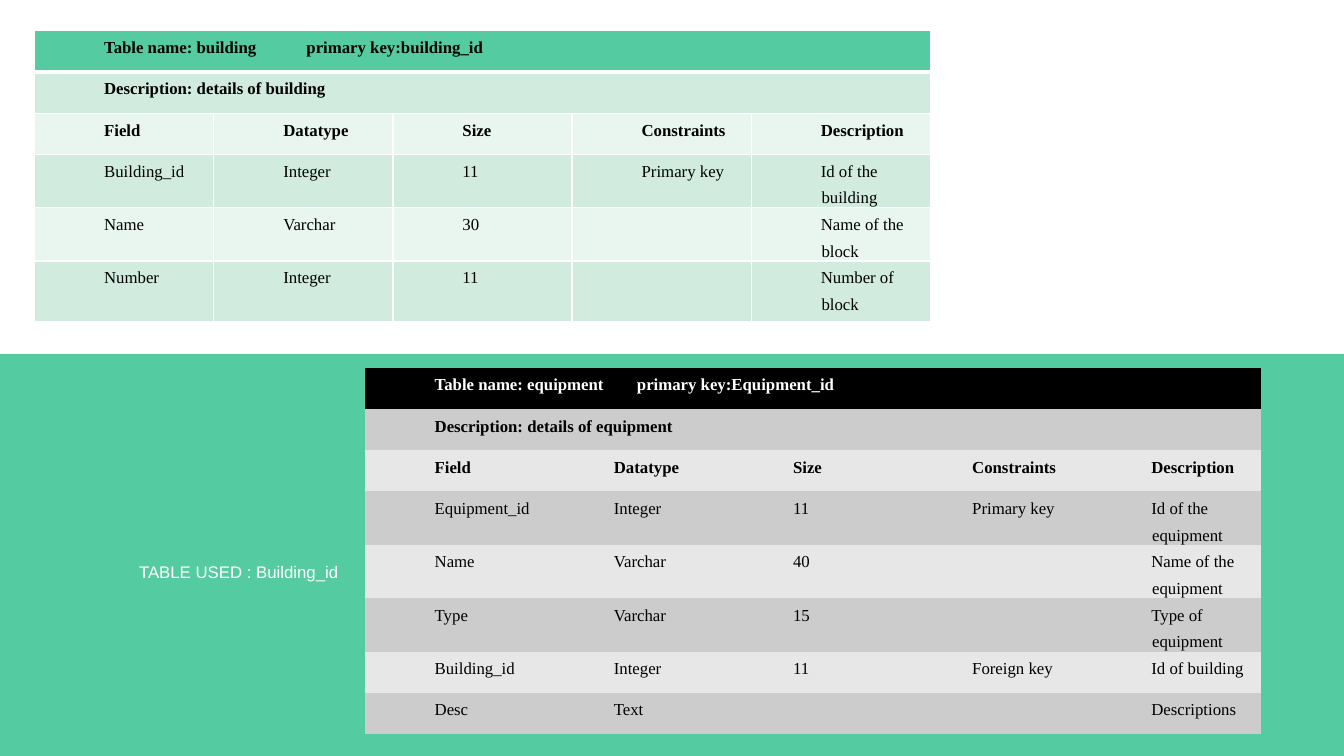
from lxml import etree
from pptx import Presentation
from pptx.dml.color import RGBColor
from pptx.enum.shapes import MSO_SHAPE
from pptx.oxml.ns import qn
from pptx.util import Pt

RECTANGLE = MSO_SHAPE.RECTANGLE
NO_STYLE = "{2D5ABB26-0587-4C30-8999-92F81FD0307C}"
GREEN, WHITE, BLACK = "54CBA0", "FFFFFF", "000000"
SLIDE_W, SLIDE_H = 960, 540
COL_W, ROW_H = 128, 29.4
INDENT = 45.2
HEADINGS = ["Field", "Datatype", "Size", "Constraints", "Description"]
BUILDING_ROWS = [
    ["Table name: building\tprimary key:building_id"],
    ["Description: details of building"],
    HEADINGS,
    ["Building_id", "Integer", "11", "Primary key", "Id of the building"],
    ["Name", "Varchar", "30", "", "Name of the block"],
    ["Number", "Integer", "11", "", "Number of block"],
]
EQUIPMENT_ROWS = [
    ["Table name: equipment\tprimary key:Equipment_id"],
    ["Description: details of equipment"],
    HEADINGS,
    ["Equipment_id", "Integer", "11", "Primary key", "Id of the equipment"],
    ["Name", "Varchar", "40", "", "Name of the equipment"],
    ["Type", "Varchar", "15", "", "Type of equipment"],
    ["Building_id", "Integer", "11", "Foreign key", "Id of building"],
    ["Desc", "Text", "", "", "Descriptions"],
]


def rgb(color):
    return RGBColor.from_string(color)


def style_font(font, name, color, bold=False):
    font.name, font.size, font.bold = name, Pt(12), bold
    font.color.rgb = rgb(color)


def add_band(s, top):
    sp = s.shapes.add_shape(RECTANGLE, 0, Pt(top), Pt(SLIDE_W), Pt(SLIDE_H - top))
    sp.shadow.inherit = False
    sp.fill.solid()
    sp.fill.fore_color.rgb = rgb(GREEN)
    sp.line.fill.background()


def add_label(s, text, left, top, width, height):
    tf = s.shapes.add_textbox(Pt(left), Pt(top), Pt(width), Pt(height)).text_frame
    tf.word_wrap = False
    tf.text = text
    style_font(tf.paragraphs[0].runs[0].font, "Arial", WHITE)


def set_borders(cell, bottom_width):
    """Draw white cell borders, 1 pt except at the bottom."""
    tc_pr = cell._tc.get_or_add_tcPr()
    for side, width in (("L", 1), ("R", 1), ("T", 1), ("B", bottom_width)):
        ln = etree.SubElement(tc_pr, qn(f"a:ln{side}"), w=str(Pt(width)))
        fill = etree.SubElement(ln, qn("a:solidFill"))
        etree.SubElement(fill, qn("a:srgbClr"), val=WHITE)


def indent(p, tab):
    """Set the hanging indent and, if tab is given, a tab stop."""
    p_pr = p._p.get_or_add_pPr()
    p_pr.set("marL", str(Pt(INDENT)))
    p_pr.set("indent", str(Pt(-0.5)))
    p.line_spacing = 1.43
    if tab:
        tabs = etree.SubElement(p_pr, qn("a:tabLst"))
        etree.SubElement(tabs, qn("a:tab"), pos=str(Pt(tab)), algn="l")


def fill_cell(cell, text, fill, color, bold, tab):
    cell.fill.solid()
    cell.fill.fore_color.rgb = rgb(fill)
    cell.margin_left = cell.margin_right = Pt(5)
    cell.margin_top = cell.margin_bottom = 0
    cell.text = text
    p = cell.text_frame.paragraphs[0]
    indent(p, tab)
    style_font(p.font, "Times New Roman", color, bold)
    for r in p.runs:
        style_font(r.font, "Times New Roman", color, bold)


def add_field_table(s, rows, left, top, title_fill, title_color, bands, key_tab,
                    bordered=False):
    """Add a table whose single-cell rows span every column."""
    cols = len(HEADINGS)
    frame = s.shapes.add_table(len(rows), cols, Pt(left), Pt(top),
                               Pt(cols * COL_W), Pt(len(rows) * ROW_H))
    table = frame.table
    table._tbl.tblPr.find(qn("a:tableStyleId")).text = NO_STYLE
    for column in table.columns:
        column.width = Pt(COL_W)
    for i, row in enumerate(rows):
        table.rows[i].height = Pt(ROW_H)
        if bordered:
            for j in range(cols):
                set_borders(table.cell(i, j), 1 if i else 3)
        if len(row) == 1:
            table.cell(i, 0).merge(table.cell(i, cols - 1))
        fill = bands[(i - 1) % 2] if i else title_fill
        color = BLACK if i else title_color
        for j, text in enumerate(row):
            fill_cell(table.cell(i, j), text, fill, color, i < 3, None if i else key_tab)
    return table


def main():
    prs = Presentation()
    prs.slide_width, prs.slide_height = Pt(SLIDE_W), Pt(SLIDE_H)
    s = prs.slides.add_slide(prs.slide_layouts[6])
    add_band(s, 253)
    building = add_field_table(s, BUILDING_ROWS, 24.7, 22, GREEN, BLACK,
                               ("D1ECDF", "E9F6F0"), 279.8, bordered=True)
    building.rows[len(BUILDING_ROWS) - 1].height = Pt(43.6)
    add_field_table(s, EQUIPMENT_ROWS, 260.8, 262.8, BLACK, WHITE,
                    ("CCCCCC", "E7E7E7"), 285.4)
    add_label(s, "TABLE USED : Building_id", 92.2, 397.4, 157.7, 21.6)
    prs.save("out.pptx")


if __name__ == "__main__":
    main()
